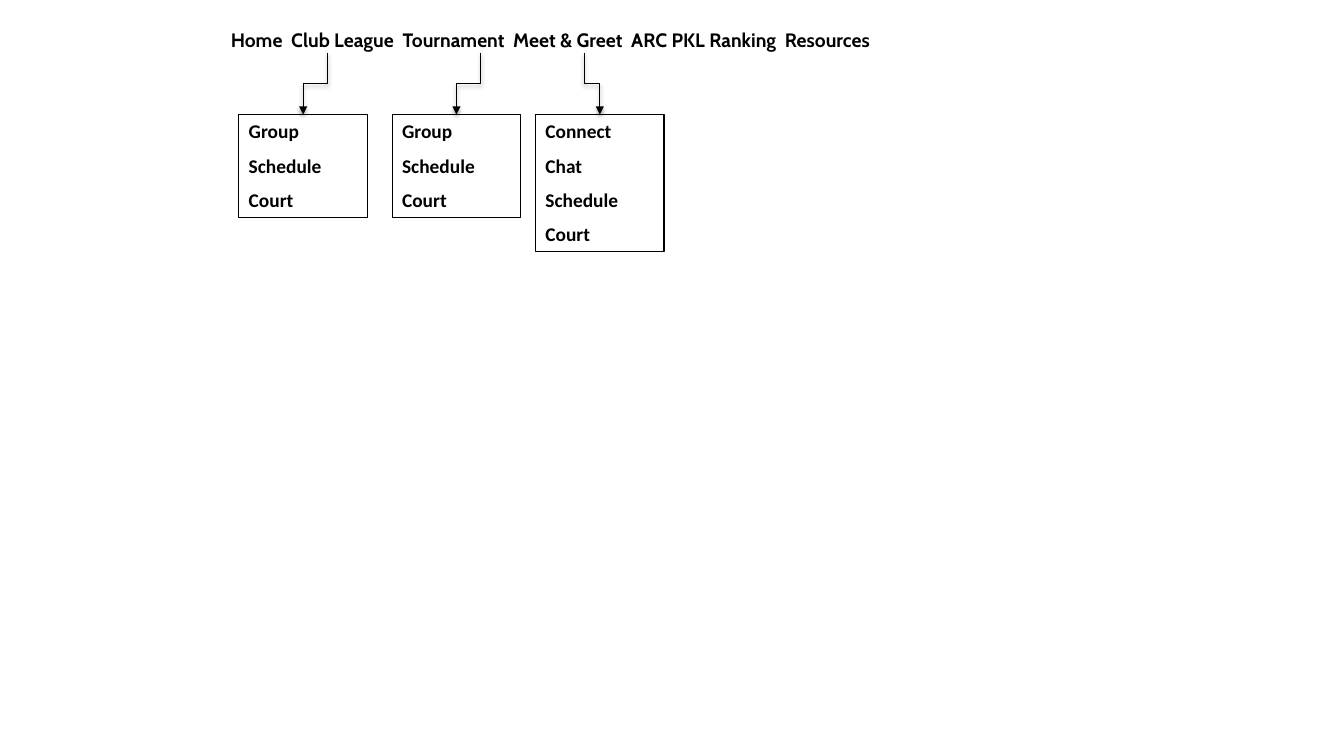
"""Build a site menu slide with three drop-down lists."""
from lxml import etree
from pptx import Presentation
from pptx.dml.color import RGBColor
from pptx.enum.shapes import MSO_CONNECTOR, MSO_SHAPE
from pptx.enum.text import MSO_ANCHOR, PP_ALIGN
from pptx.oxml import parse_xml
from pptx.oxml.ns import nsdecls, qn
from pptx.util import Inches, Pt

MENU = ["Home", "Club League", "Tournament", "Meet & Greet",
        "ARC PKL Ranking", "Resources"]
DROPS = [
    (2.4, 3.29, ["Group", "Schedule", "Court"]),
    (3.94, 4.83, ["Group", "Schedule", "Court"]),
    (5.38, 5.87, ["Connect", "Chat", "Schedule", "Court"]),
]

BLACK = RGBColor(0, 0, 0)
ELBOW = MSO_CONNECTOR.ELBOW
RECT = MSO_SHAPE.RECTANGLE
TOP = MSO_ANCHOR.TOP
LEFT = PP_ALIGN.LEFT
FONT = {"size": Pt(14), "bold": True}
GAP = Pt(4)
WIDE, ROW, TRIM = 1.29, 0.35, 0.02
START, END = 0.53, 1.15
SHADOW = (
    f'<a:effectLst {nsdecls("a")}>'
    '<a:outerShdw blurRad="40000" dist="20000" dir="5400000" rotWithShape="0">'
    '<a:srgbClr val="000000"><a:alpha val="38000"/></a:srgbClr>'
    '</a:outerShdw></a:effectLst>'
)


def write(frame, lines, face):
    frame.word_wrap = True
    frame.vertical_anchor = TOP
    for row, text in enumerate(lines):
        para = frame.add_paragraph() if row else frame.paragraphs[0]
        para.alignment = LEFT
        if row:
            para.space_before = GAP
        if row < len(lines) - 1:
            para.space_after = GAP
        run = para.add_run()
        run.text = text
        for key, value in FONT.items():
            setattr(run.font, key, value)
        run.font.name = face
        run.font.color.rgb = BLACK


def outline(item):
    item.line.color.rgb = BLACK
    item.line.width = Pt(0.75)


def add_list(slide, left, lines):
    box = slide.shapes.add_shape(RECT, Inches(left), Inches(END), Inches(WIDE),
                                 Inches(ROW * len(lines) - TRIM))
    box.shadow.inherit = False
    box.fill.background()
    outline(box)
    write(box.text_frame, lines, "Calibri")


def add_arrow(slide, tail, head):
    mid_x, mid_y = (tail + head) / 2, (START + END) / 2
    half_w, half_h = (END - START) / 2, abs(tail - head) / 2
    side = 1 if tail > head else -1
    arrow = slide.shapes.add_connector(
        ELBOW, Inches(mid_x - side * half_w), Inches(mid_y - half_h),
        Inches(mid_x + side * half_w), Inches(mid_y + half_h))
    outline(arrow)
    props = arrow._element.spPr
    turn = 90 if side > 0 else 270
    props.find(qn("a:xfrm")).set("rot", str(turn * 60000))
    etree.SubElement(props.find(qn("a:ln")), qn("a:tailEnd"), type="triangle")
    props.append(parse_xml(SHADOW))


def main():
    deck = Presentation()
    deck.slide_width, deck.slide_height = Inches(13.5), Inches(7.5)
    slide = deck.slides.add_slide(deck.slide_layouts[6])
    menu = slide.shapes.add_textbox(Inches(2.22), Inches(0.23),
                                    Inches(7.67), Inches(0.34))
    write(menu.text_frame, ["  ".join(MENU)], "Cabin")
    for left, tail, lines in DROPS:
        add_list(slide, left, lines)
        add_arrow(slide, tail, left + WIDE / 2)
    deck.save("out.pptx")


if __name__ == "__main__":
    main()
